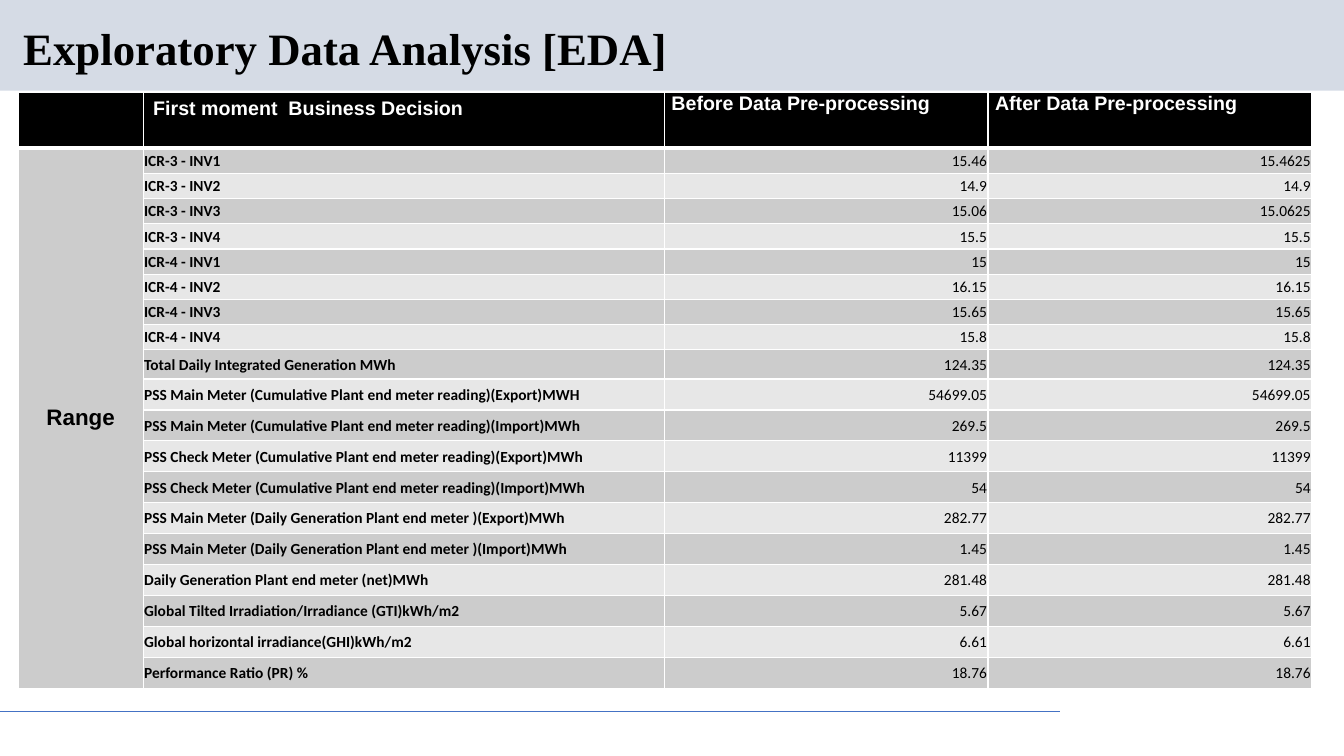
from dataclasses import dataclass

from lxml import etree
from pptx import Presentation
from pptx.dml.color import RGBColor
from pptx.enum.shapes import MSO_CONNECTOR, MSO_SHAPE
from pptx.enum.text import MSO_ANCHOR, PP_ALIGN
from pptx.oxml.ns import qn
from pptx.util import Inches, Pt

LEFT, CENTER, RIGHT = PP_ALIGN.LEFT, PP_ALIGN.CENTER, PP_ALIGN.RIGHT
TOP, MIDDLE = MSO_ANCHOR.TOP, MSO_ANCHOR.MIDDLE
RECTANGLE = MSO_SHAPE.RECTANGLE
STRAIGHT = MSO_CONNECTOR.STRAIGHT
TITLE_ONLY = 5


@dataclass(frozen=True)
class Theme:
    band: str = "D5DBE5"
    rule: str = "4472C4"
    black: str = "000000"
    white: str = "FFFFFF"
    odd_row: str = "CCCCCC"
    even_row: str = "E7E7E7"
    title_font: str = "Times New Roman"
    header_font: str = "Arial"
    body_font: str = "Calibri"
    title_size: int = 32
    group_size: int = 16
    header_size: int = 14
    body_size: int = 11


THEME = Theme()

HEADERS = ["", "First moment  Business Decision",
           "Before Data Pre-processing", "After Data Pre-processing"]
RANGES = [
    ("ICR-3 - INV1", "15.46", "15.4625"),
    ("ICR-3 - INV2", "14.9", "14.9"),
    ("ICR-3 - INV3", "15.06", "15.0625"),
    ("ICR-3 - INV4", "15.5", "15.5"),
    ("ICR-4 - INV1", "15", "15"),
    ("ICR-4 - INV2", "16.15", "16.15"),
    ("ICR-4 - INV3", "15.65", "15.65"),
    ("ICR-4 - INV4", "15.8", "15.8"),
    ("Total Daily Integrated Generation MWh", "124.35", "124.35"),
    ("PSS Main Meter (Cumulative Plant end meter reading)(Export)MWH", "54699.05", "54699.05"),
    ("PSS Main Meter (Cumulative Plant end meter reading)(Import)MWh", "269.5", "269.5"),
    ("PSS Check Meter (Cumulative Plant end meter reading)(Export)MWh", "11399", "11399"),
    ("PSS Check Meter (Cumulative Plant end meter reading)(Import)MWh", "54", "54"),
    ("PSS Main Meter (Daily Generation Plant end meter )(Export)MWh", "282.77", "282.77"),
    ("PSS Main Meter (Daily Generation Plant end meter )(Import)MWh", "1.45", "1.45"),
    ("Daily Generation Plant end meter (net)MWh", "281.48", "281.48"),
    ("Global Tilted Irradiation/Irradiance (GTI)kWh/m2", "5.67", "5.67"),
    ("Global horizontal irradiance(GHI)kWh/m2", "6.61", "6.61"),
    ("Performance Ratio (PR) %", "18.76", "18.76"),
]
COLUMN_WIDTHS = [1.24, 5.17, 3.21, 3.21]
HEADER_HEIGHT, INVERTER_HEIGHT, TOTAL_HEIGHT = 0.55, 0.25, 0.29
INVERTER_COUNT = 8
WIDE_MARGINS = (0.1, 0.05, 0.1, 0.05)
VALUE_HEADER_MARGINS = (0.07, 0, 0.07, 0)
BODY_MARGINS = (0.01, 0.01, 0.01, 0)


def rgb(color):
    return RGBColor.from_string(color)


def format_paragraph(paragraph, font, size, color, bold, alignment=LEFT):
    paragraph.alignment = alignment
    paragraph.font.name = font
    paragraph.font.size = Pt(size)
    paragraph.font.bold = bold
    paragraph.font.color.rgb = rgb(color)


def set_margins(target, margins):
    (target.margin_left, target.margin_top,
     target.margin_right, target.margin_bottom) = map(Inches, margins)


def set_borders(cell, top, bottom):
    properties = cell._tc.get_or_add_tcPr()
    for side, width in (("L", 1), ("R", 1), ("T", top), ("B", bottom)):
        line = etree.SubElement(properties, qn(f"a:ln{side}"), w=str(Pt(width)))
        fill = etree.SubElement(line, qn("a:solidFill"))
        etree.SubElement(fill, qn("a:srgbClr"), val=THEME.white)


def style_cell(cell, text, background, margins, anchor, top=1, bottom=1, **text_style):
    set_borders(cell, top, bottom)
    cell.fill.solid()
    cell.fill.fore_color.rgb = rgb(background)
    set_margins(cell, margins)
    cell.vertical_anchor = anchor
    cell.text = text
    format_paragraph(cell.text_frame.paragraphs[0], **text_style)


def add_heading(slide, left, top, width, height):
    title = slide.shapes.title
    band = slide.shapes.add_shape(RECTANGLE, Inches(left), Inches(top),
                                  Inches(width), Inches(height))
    band.shadow.inherit = False
    band.fill.solid()
    band.fill.fore_color.rgb = rgb(THEME.band)
    band.line.fill.background()
    title.element.addprevious(band.element)

    title.left, title.top = Inches(left + 0.13), Inches(top + 0.21)
    title.width, title.height = Inches(10.11), Inches(0.59)
    frame = title.text_frame
    frame.text = "Exploratory Data Analysis [EDA]"
    frame.word_wrap = True
    frame.vertical_anchor = MIDDLE
    set_margins(frame, WIDE_MARGINS)
    paragraph = frame.paragraphs[0]
    paragraph.line_spacing = 0.9
    format_paragraph(paragraph, THEME.title_font, THEME.title_size, THEME.black, True)


def add_footer_rule(slide, left, top, width):
    rule = slide.shapes.add_connector(STRAIGHT, Inches(left), Inches(top),
                                      Inches(left + width), Inches(top))
    rule.line.color.rgb = rgb(THEME.rule)
    rule.line.width = Pt(0.75)
    etree.SubElement(rule.element.spPr, qn("a:effectLst"))


def add_range_table(slide, left, top, width, height):
    table = slide.shapes.add_table(len(RANGES) + 1, len(HEADERS), Inches(left), Inches(top),
                                   Inches(width), Inches(height)).table
    for column, column_width in zip(table.columns, COLUMN_WIDTHS):
        column.width = Inches(column_width)

    leading = [HEADER_HEIGHT] + [INVERTER_HEIGHT] * INVERTER_COUNT + [TOTAL_HEIGHT]
    meter_count = len(RANGES) + 1 - len(leading)
    meter_height = (height - sum(leading)) / meter_count
    for row, row_height in zip(table.rows, leading + [meter_height] * meter_count):
        row.height = Inches(row_height)

    for index, text in enumerate(HEADERS):
        margins = VALUE_HEADER_MARGINS if index > 1 else WIDE_MARGINS
        style_cell(table.cell(0, index), text, THEME.black, margins, TOP, bottom=3,
                   font=THEME.header_font, size=THEME.header_size,
                   color=THEME.white, bold=True)

    group = table.cell(1, 0)
    group.merge(table.cell(len(RANGES), 0))
    style_cell(group, "Range", THEME.odd_row, WIDE_MARGINS, MIDDLE, top=3,
               font=THEME.header_font, size=THEME.group_size,
               color=THEME.black, bold=True, alignment=CENTER)

    for row, values in enumerate(RANGES, start=1):
        background = THEME.odd_row if row % 2 else THEME.even_row
        for column, text in enumerate(values, start=1):
            is_label = column == 1
            style_cell(table.cell(row, column), text, background, BODY_MARGINS, MIDDLE,
                       top=3 if row == 1 else 1, font=THEME.body_font,
                       size=THEME.body_size, color=THEME.black, bold=is_label,
                       alignment=LEFT if is_label else RIGHT)


def main():
    presentation = Presentation()
    presentation.slide_width, presentation.slide_height = Inches(13.33), Inches(7.5)
    slide = presentation.slides.add_slide(presentation.slide_layouts[TITLE_ONLY])
    add_heading(slide, 0, 0, 13.33, 0.9)
    add_footer_rule(slide, 0, 7.06, 10.51)
    add_range_table(slide, 0.18, 0.92, 12.82, 5.91)
    presentation.save("out.pptx")


if __name__ == "__main__":
    main()
